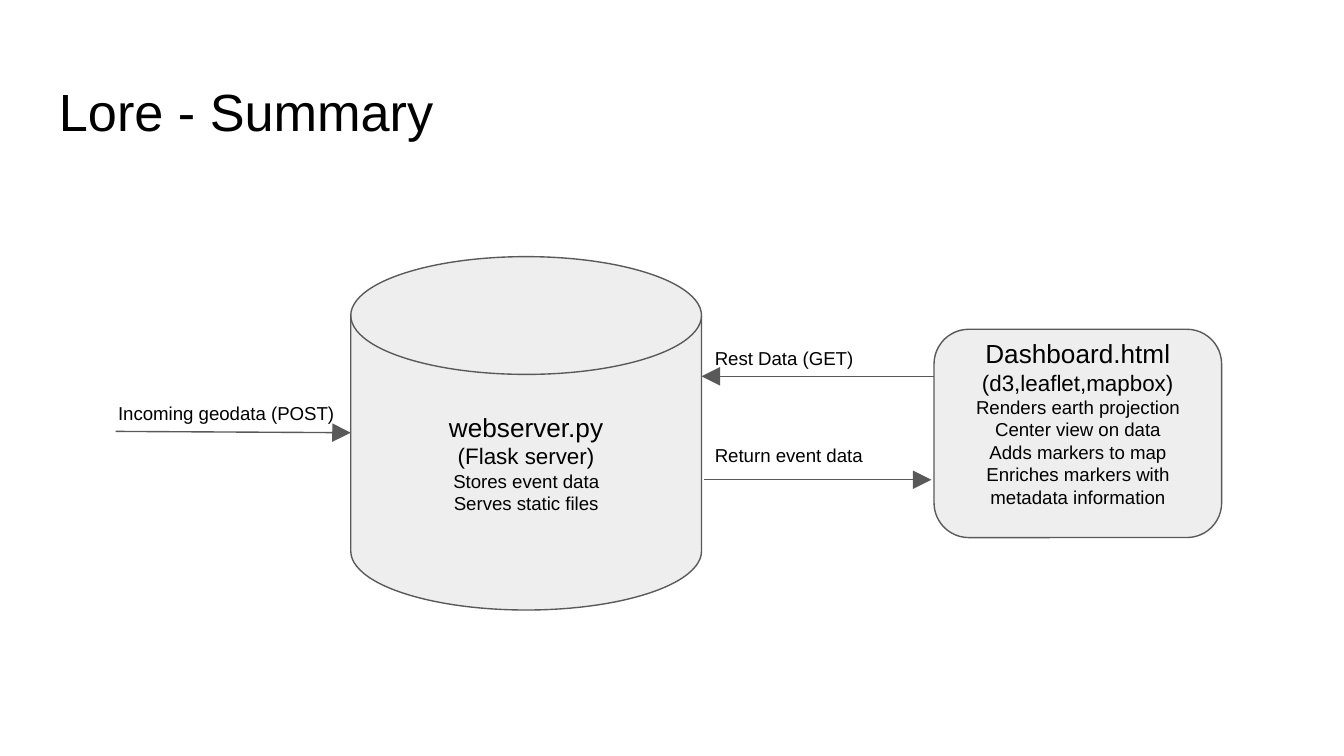
from typing import NamedTuple

from lxml import etree
from pptx import Presentation
from pptx import util as u
from pptx.dml.color import RGBColor
from pptx.enum import shapes, text
from pptx.oxml import ns

HUES = {"ink": "000000", "fill": "EEEEEE", "line": "595959"}
FONT = "Arial"
WIDTH = 10


class Label(NamedTuple):
    words: str
    left: float
    top: float
    width: float = 1.91
    height: float = 0.3
    size: int = 10
    fit: text.MSO_AUTO_SIZE = text.MSO_AUTO_SIZE.SHAPE_TO_FIT_TEXT


class Node(NamedTuple):
    kind: shapes.MSO_SHAPE
    left: float
    top: float
    width: float
    height: float
    lines: list[str]
    foot: float = 0.1


class Arrow(NamedTuple):
    x1: float
    y1: float
    x2: float
    y2: float


TITLE = Label("Lore - Summary", 0.34, 0.49, 9.32, 0.63, 28,
              text.MSO_AUTO_SIZE.NONE)
LABELS = [
    Label("Incoming geodata (POST)", 0.78, 2.91),
    Label("Rest Data (GET)", 5.22, 2.5),
    Label("Return event data", 5.22, 3.22),
]
NODES = [
    Node(shapes.MSO_SHAPE.FLOWCHART_MAGNETIC_DISK, 2.61, 1.91, 2.61, 2.63,
         ["webserver.py", "(Flask server)", "Stores event data",
          "Serves static files"]),
    Node(shapes.MSO_SHAPE.ROUNDED_RECTANGLE, 6.95, 2.45, 2.14, 1.55,
         ["Dashboard.html", "(d3,leaflet,mapbox)", "Renders earth projection",
          "Center view on data", "Adds markers to map",
          "Enriches markers with metadata information"], 0.26),
]
ARROWS = [
    Arrow(0.86, 3.21, 2.61, 3.22),
    Arrow(6.95, 2.8, 5.22, 2.8),
    Arrow(5.24, 3.57, 6.93, 3.57),
]


def hue(name: str) -> RGBColor:
    return RGBColor.from_string(HUES[name])


def write(frame, lines: list[str], sizes: list[int], align,
          foot: float = 0.1) -> None:
    """Fill a frame; the last size serves all further lines."""
    frame.word_wrap = True
    frame.margin_left = frame.margin_right = frame.margin_top = u.Inches(0.1)
    frame.margin_bottom = u.Inches(foot)
    frame.text = "\n".join(lines)
    for i, para in enumerate(frame.paragraphs):
        para.alignment = align
        for run in para.runs:
            run.font.name = FONT
            run.font.size = u.Pt(sizes[min(i, len(sizes) - 1)])
            run.font.color.rgb = hue("ink")


def stroke(line) -> None:
    line.color.rgb = hue("line")
    line.width = u.Pt(0.75)


def add_label(slide, item: Label) -> None:
    box = slide.shapes.add_textbox(*map(u.Inches, item[1:5]))
    write(box.text_frame, [item.words], [item.size], text.PP_ALIGN.LEFT)
    box.text_frame.auto_size = item.fit


def add_node(slide, item: Node) -> None:
    shape = slide.shapes.add_shape(item.kind, *map(u.Inches, item[1:5]))
    shape.shadow.inherit = False
    shape.fill.solid()
    shape.fill.fore_color.rgb = hue("fill")
    stroke(shape.line)
    shape.text_frame.vertical_anchor = text.MSO_ANCHOR.MIDDLE
    write(shape.text_frame, item.lines, [14, 12, 10],
          text.PP_ALIGN.CENTER, item.foot)


def add_arrow(slide, item: Arrow) -> None:
    link = slide.shapes.add_connector(
        shapes.MSO_CONNECTOR.STRAIGHT, *map(u.Inches, item))
    stroke(link.line)
    props = link.element.spPr
    tip = etree.SubElement(props.find(ns.qn("a:ln")), ns.qn("a:tailEnd"))
    for key, value in (("type", "triangle"), ("w", "lg"), ("len", "lg")):
        tip.set(key, value)
    etree.SubElement(props, ns.qn("a:effectLst"))


def main() -> None:
    deck = Presentation()
    deck.slide_width = u.Inches(WIDTH)
    deck.slide_height = u.Inches(WIDTH * 9 / 16)
    slide = deck.slides.add_slide(deck.slide_layouts[6])

    # Title
    add_label(slide, TITLE)
    # Server and dashboard
    for node in NODES:
        add_node(slide, node)
    # Data flow
    for arrow in ARROWS:
        add_arrow(slide, arrow)
    # Captions
    for label in LABELS:
        add_label(slide, label)

    deck.save("out.pptx")


main()
